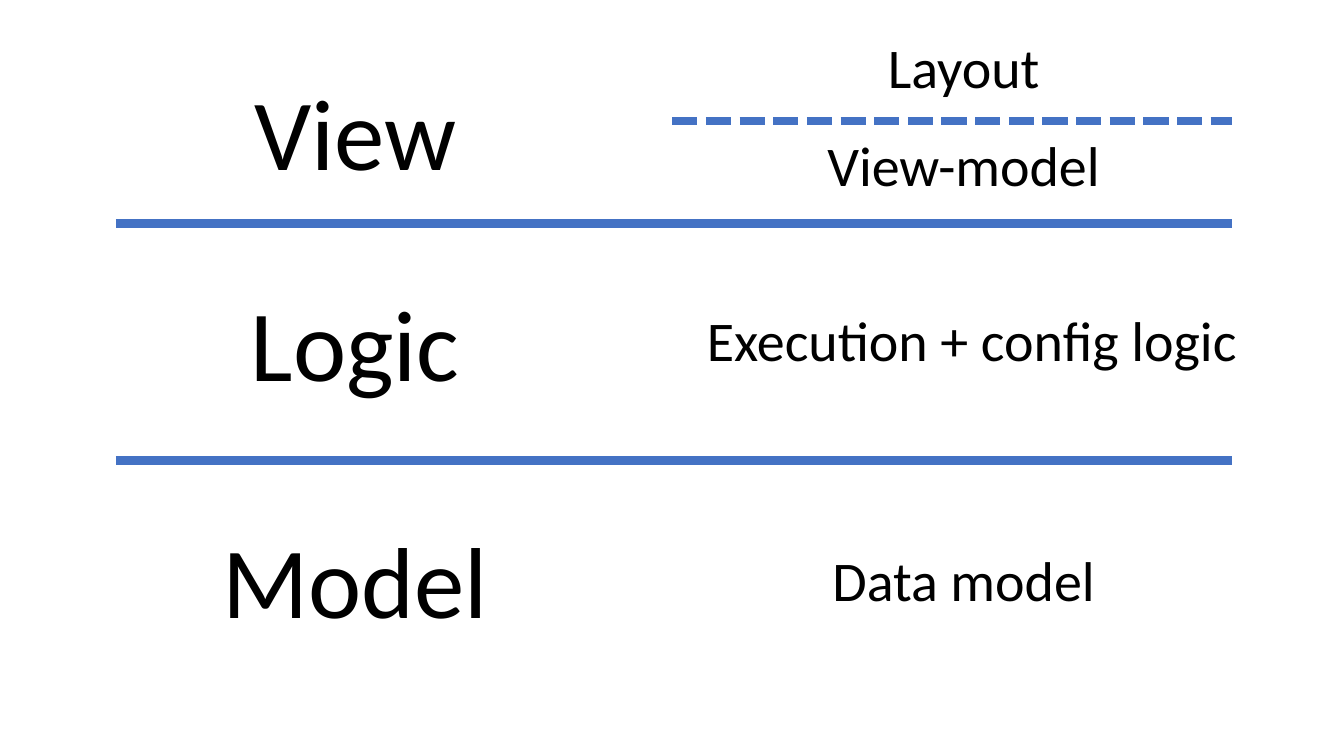
"""Build a slide that splits an app into view, logic and model layers."""
from lxml import etree
from pptx import Presentation
from pptx.dml.color import RGBColor
from pptx.enum.dml import MSO_LINE
from pptx.enum.shapes import MSO_CONNECTOR
from pptx.enum.text import MSO_AUTO_SIZE, PP_ALIGN
from pptx.oxml.ns import qn
from pptx.util import Pt

STRAIGHT = MSO_CONNECTOR.STRAIGHT
DASH = MSO_LINE.SQUARE_DOT
GROW = MSO_AUTO_SIZE.SHAPE_TO_FIT_TEXT
CENTER = PP_ALIGN.CENTER
COLORS = {"rule": "4472C4", "text": "000000"}
FONT = "Calibri"
LEFT, MID, RIGHT = 82.8, 480.2, 879.8
LAYERS = [("View", 46, 160.6), ("Logic", 197.3, 164.9), ("Model", 366.5, 205.9)]
PARTS = [
    ("Layout", 688.3, 19.4, 123.8),
    ("View-model", 688.3, 90, 211.7),
    ("Execution + config logic", 694.1, 214.6, 397.4),
    ("Data model", 688.3, 385.9, 203.8),
]


def add_rule(slide, start, y, dash=None):
    """Draw a thick level line from start to the right edge."""
    rule = slide.shapes.add_connector(STRAIGHT, Pt(start), Pt(y), Pt(RIGHT), Pt(y))
    rule.line.color.rgb = RGBColor.from_string(COLORS["rule"])
    rule.line.width = Pt(6)
    if dash is not None:
        rule.line.dash_style = dash
    etree.SubElement(rule._element.spPr, qn("a:effectLst"))


def add_label(slide, text, center, top, width, height, size):
    """Add one line of text centred on a given x."""
    box = slide.shapes.add_textbox(
        Pt(center - width / 2), Pt(top), Pt(width), Pt(height))
    frame = box.text_frame
    frame.text = text
    frame.word_wrap = False
    frame.auto_size = GROW
    line = frame.paragraphs[0]
    line.alignment = CENTER
    font = line.runs[0].font
    font.name = FONT
    font.size = Pt(size)
    font.color.rgb = RGBColor.from_string(COLORS["text"])


def main():
    """Build and save the slide."""
    deck = Presentation()
    deck.slide_width, deck.slide_height = Pt(960), Pt(540)
    slide = deck.slides.add_slide(deck.slide_layouts[6])
    for y in (159.8, 329):
        add_rule(slide, LEFT, y)
    add_rule(slide, MID, 86.4, DASH)
    for text, top, width in LAYERS:
        add_label(slide, text, 253.8, top, width, 94.3, 72)
    for text, center, top, width in PARTS:
        add_label(slide, text, center, top, width, 55.4, 40)
    deck.save("out.pptx")


if __name__ == "__main__":
    main()
